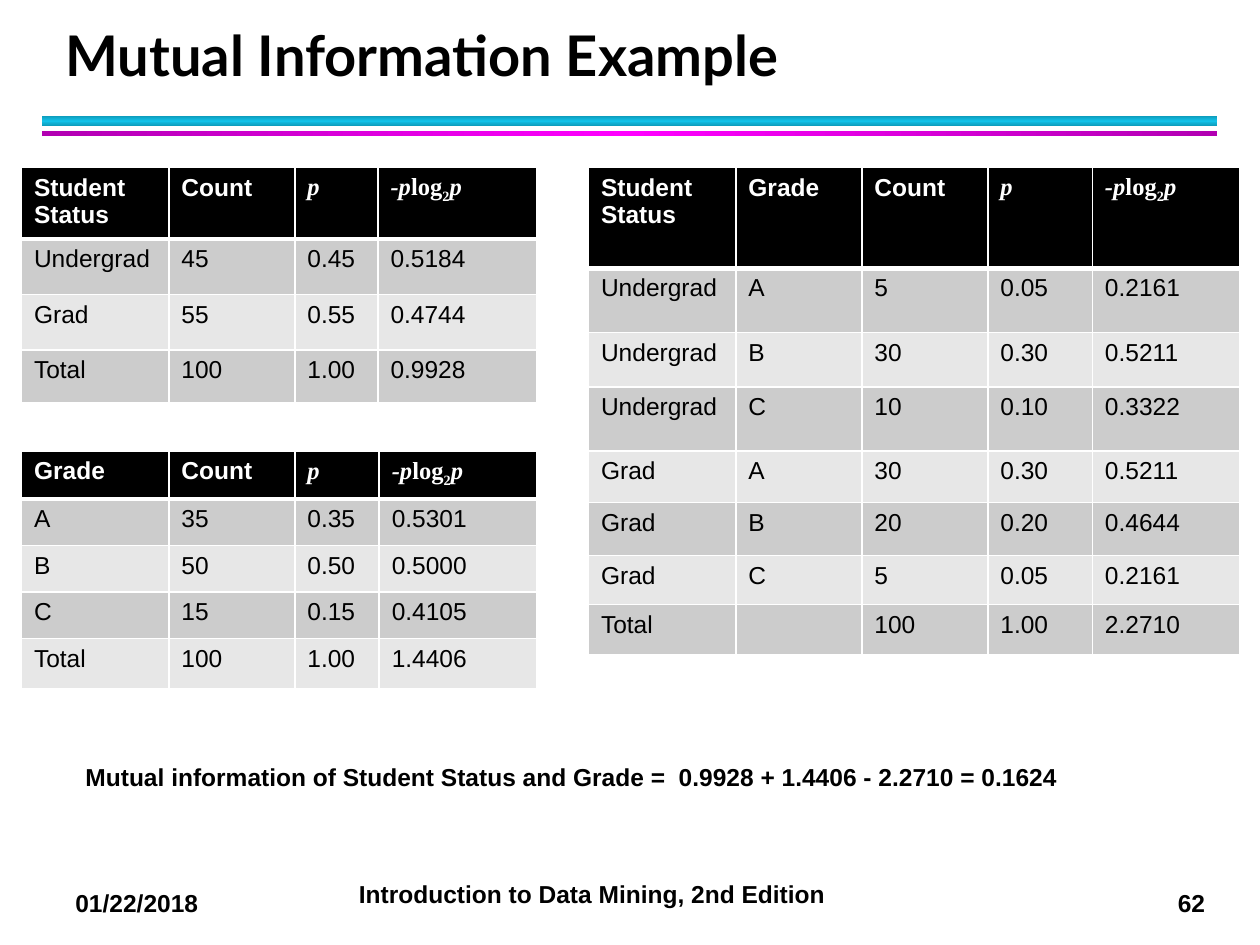
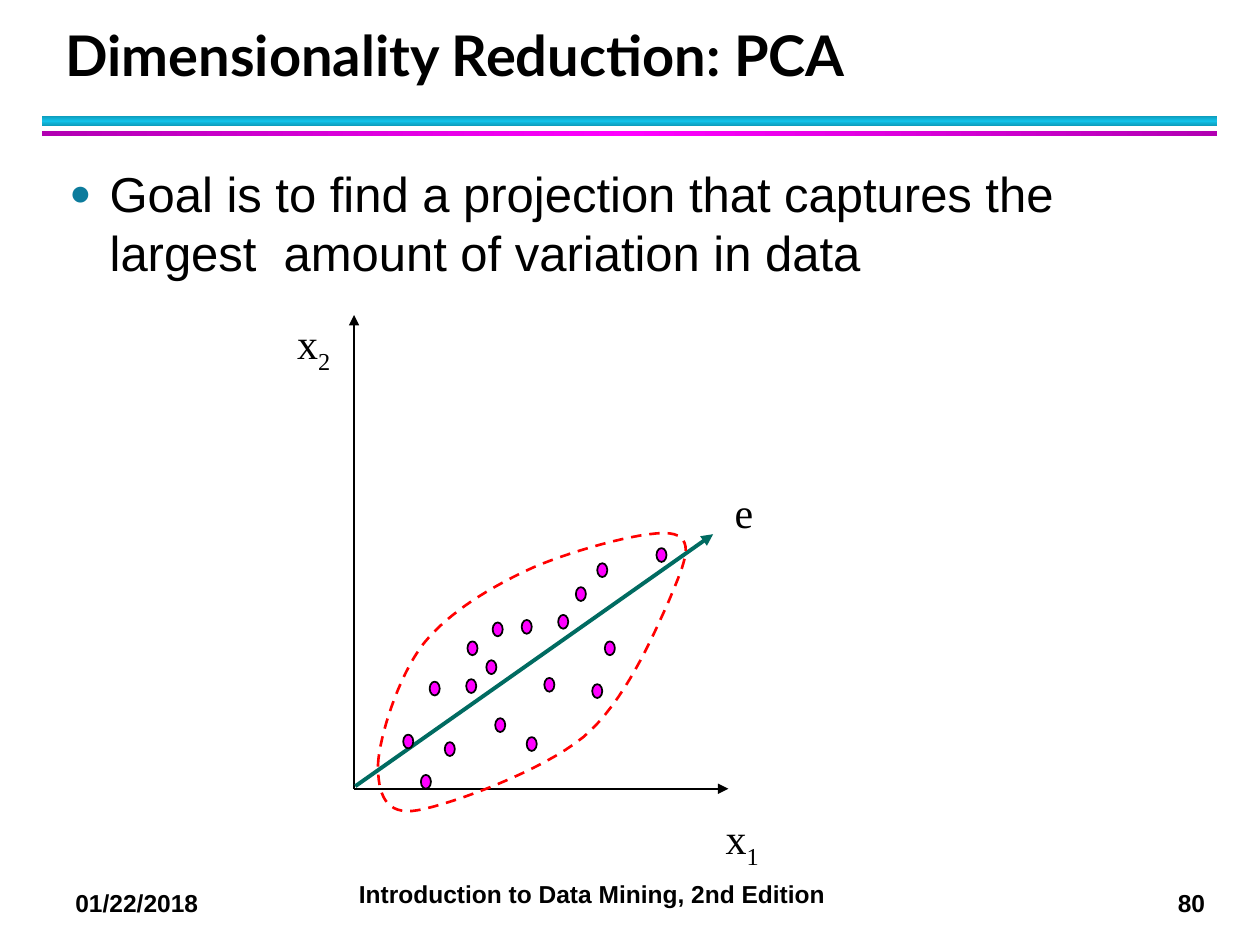
"""Build two data mining slides: a mutual information example and a PCA sketch."""
from pptx import Presentation
from pptx.dml.color import RGBColor
from pptx.enum.dml import MSO_LINE
from pptx.enum.shapes import MSO_CONNECTOR, MSO_SHAPE
from pptx.enum.text import MSO_ANCHOR, MSO_AUTO_SIZE, PP_ALIGN
from pptx.oxml import parse_xml
from pptx.oxml.ns import nsdecls
from pptx.util import Inches, Pt

RECT, OVAL = MSO_SHAPE.RECTANGLE, MSO_SHAPE.OVAL
LINE, DASH = MSO_CONNECTOR.STRAIGHT, MSO_LINE.DASH
LEFT, CENTER = PP_ALIGN.LEFT, PP_ALIGN.CENTER
TOP, MIDDLE, BOTTOM = MSO_ANCHOR.TOP, MSO_ANCHOR.MIDDLE, MSO_ANCHOR.BOTTOM
FIXED = MSO_AUTO_SIZE.NONE

COLORS = {
    "black": "000000", "white": "FFFFFF", "odd": "CCCCCC", "even": "E7E7E7",
    "cyan": "12C2E9", "teal": "0E9BBA", "pink": "FF00FF", "plum": "B200B2",
    "bullet": "0C7B9C", "vector": "006B61", "red": "FF0000",
}
SANS, SERIF, HEAD = "Arial", "Times New Roman", "Lato"

BANDS = [((0.33, 0.92, 9.33, 0.08), "teal", "cyan", 90),
         ((0.33, 1.04, 9.33, 0.04), "plum", "pink", 0)]
DATE, BOOK = "01/22/2018", "Introduction to Data Mining, 2nd Edition"

PROB = [("p", "i")]
TERM = [("-p", "i"), ("log", ""), ("2", "sub"), ("p", "i")]
TABLES = [
    {"at": (0.17, 1.33), "cols": [1.17, 1, 0.66, 1.26],
     "rows": [0.44, 0.44, 0.44, 0.42],
     "cells": [["Student Status", "Count", PROB, TERM],
               ["Undergrad", "45", "0.45", "0.5184"],
               ["Grad", "55", "0.55", "0.4744"],
               ["Total", "100", "1.00", "0.9928"]]},
    {"at": (0.17, 3.58), "cols": [1.17, 1, 0.67, 1.25],
     "rows": [0.38, 0.37, 0.37, 0.37, 0.4],
     "cells": [["Grade", "Count", PROB, TERM],
               ["A", "35", "0.35", "0.5301"],
               ["B", "50", "0.50", "0.5000"],
               ["C", "15", "0.15", "0.4105"],
               ["Total", "100", "1.00", "1.4406"]]},
    {"at": (4.67, 1.33), "cols": [1.17, 1, 1, 0.83, 1.17],
     "rows": [0.8, 0.51, 0.43, 0.51, 0.41, 0.42, 0.39, 0.39],
     "cells": [["Student Status", "Grade", "Count", PROB, TERM],
               ["Undergrad", "A", "5", "0.05", "0.2161"],
               ["Undergrad", "B", "30", "0.30", "0.5211"],
               ["Undergrad", "C", "10", "0.10", "0.3322"],
               ["Grad", "A", "30", "0.30", "0.5211"],
               ["Grad", "B", "20", "0.20", "0.4644"],
               ["Grad", "C", "5", "0.05", "0.2161"],
               ["Total", "", "100", "1.00", "2.2710"]]},
]
RESULT = ("Mutual information of Student Status and Grade =  "
          "0.9928 + 1.4406 - 2.2710 = 0.1624")

GOAL = ("Goal is to find a projection that captures the largest  "
        "amount of variation in data")
ARROWS = [((2.81, 6.26), (2.81, 2.5), "black", 1),
          ((2.81, 6.26), (5.78, 6.26), "black", 1),
          ((2.82, 6.24), (5.66, 4.24), "vector", 2.25)]
DOTS = [(3.41, 5.41), (3.71, 5.09), (3.2, 5.83), (3.86, 5.24), (3.7, 5.39),
        (4.32, 5.38), (4.18, 5.85), (3.93, 5.7), (4.14, 4.92), (4.8, 5.09),
        (5.21, 4.35), (3.53, 5.89), (4.43, 4.88), (4.74, 4.47), (3.91, 4.94),
        (4.57, 4.66), (4.7, 5.43), (3.34, 6.15)]
START = (3, 6.07)
CURVES = [((3.01, 5.85), (3.16, 5.37), (3.36, 5.11)),
          ((3.57, 4.85), (3.91, 4.65), (4.24, 4.5)),
          ((4.57, 4.36), (5.18, 4.19), (5.35, 4.24)),
          ((5.53, 4.29), (5.41, 4.52), (5.3, 4.79)),
          ((5.18, 5.05), (4.96, 5.57), (4.63, 5.85)),
          ((4.3, 6.12), (3.59, 6.38), (3.32, 6.43)),
          ((3.05, 6.48), (3, 6.29), (3, 6.07))]
LABELS = [((2.25, 2.5, 0.48, 0.5), [("x", ""), ("2", "sub")]),
          ((5.65, 6.43, 0.48, 0.5), [("x", ""), ("1", "sub")]),
          ((5.73, 3.81, 0.35, 0.5), [("e", "")])]


def rgb(name):
    return RGBColor.from_string(COLORS[name])


def xml(tag, attrs="", inner=""):
    return parse_xml(f"<a:{tag} {nsdecls('a')} {attrs}>{inner}</a:{tag}>")


def tint(name):
    return f'<a:srgbClr val="{COLORS[name]}"/>'


def style(font, size, color="black", face=SANS, bold=False):
    font.size, font.name, font.bold = Pt(size), face, bold
    font.color.rgb = rgb(color)


def write(par, text, size, color="black", face=SANS, bold=False):
    if isinstance(text, str):
        par.text = text
        for run in par.runs:
            style(run.font, size, color, face, bold)
        return
    for part, mark in text:
        run = par.add_run()
        run.text = part
        style(run.font, size, color, SERIF, bold)
        run.font.italic = mark == "i"
        if mark == "sub":
            run.font._element.set("baseline", "-25000")


def label(slide, box, text, size=14, bold=True, wrap=True):
    frame = slide.shapes.add_textbox(*map(Inches, box)).text_frame
    frame.word_wrap = wrap
    write(frame.paragraphs[0], text, size, bold=bold)
    return frame


def place(shape, box, anchor):
    shape.left, shape.top, shape.width, shape.height = map(Inches, box)
    frame = shape.text_frame
    frame.auto_size, frame.vertical_anchor = FIXED, anchor
    frame.word_wrap = True
    return frame.paragraphs[0]


def band(slide, box, edge, mid, angle):
    shape = slide.shapes.add_shape(RECT, *map(Inches, box))
    shape.shadow.inherit = False
    stops = "".join(f'<a:gs pos="{pos}">{tint(name)}</a:gs>'
                    for pos, name in ((0, edge), (50000, mid), (100000, edge)))
    fill = xml("gradFill", "", f'<a:gsLst>{stops}</a:gsLst>'
               f'<a:lin ang="{angle * 60000}" scaled="0"/>')
    shape._element.spPr.insert(2, fill)
    shape.line.fill.background()


def page(deck, layout, title, number):
    slide = deck.slides.add_slide(deck.slide_layouts[layout])
    for args in BANDS:
        band(slide, *args)
    label(slide, (0.5, 7, 1.33, 0.34), DATE)
    label(slide, (9.25, 7, 0.44, 0.34), number, wrap=False)
    label(slide, (2.75, 6.93, 4.08, 0.34), BOOK)
    par = place(slide.shapes.title, (0.42, 0.17, 9.06, 0.58), BOTTOM)
    write(par, title, 32, face=HEAD, bold=True)
    par.alignment, par.line_spacing = LEFT, Pt(36)
    return slide


def edge(cell, row):
    widths = {"L": 1, "R": 1, "T": 3 if row == 1 else 1, "B": 1 if row else 3}
    props = cell._tc.get_or_add_tcPr()
    for side, width in widths.items():
        props.append(xml(f"ln{side}", f'w="{Pt(width)}"',
                         f"<a:solidFill>{tint('white')}</a:solidFill>"))


def grid(slide, at, cols, rows, cells):
    box = (*at, sum(cols), sum(rows))
    table = slide.shapes.add_table(len(rows), len(cols),
                                   *map(Inches, box)).table
    for col, width in zip(table.columns, cols):
        col.width = Inches(width)
    for r, (row, height) in enumerate(zip(table.rows, rows)):
        row.height = Inches(height)
        back = ("even" if r % 2 == 0 else "odd") if r else "black"
        for cell, text in zip(row.cells, cells[r]):
            edge(cell, r)
            cell.fill.solid()
            cell.fill.fore_color.rgb = rgb(back)
            write(cell.text_frame.paragraphs[0], text, 14,
                  "black" if r else "white", bold=not r)


def arrow(slide, start, end, color, width):
    line = slide.shapes.add_connector(LINE, *map(Inches, start + end))
    line.line.color.rgb, line.line.width = rgb(color), Pt(width)
    line.line._get_or_add_ln().append(xml("tailEnd", 'type="triangle"'))
    line._element.spPr.append(xml("effectLst"))


def dot(slide, x, y):
    shape = slide.shapes.add_shape(OVAL, *map(Inches, (x, y, 0.08, 0.11)))
    shape.shadow.inherit = False
    shape.fill.solid()
    shape.fill.fore_color.rgb = rgb("pink")
    shape.line.color.rgb, shape.line.width = rgb("black"), Pt(1)


def trace(start, curves, steps=16):
    points = []
    for one, two, end in curves:
        for i in range(1, steps + 1):
            t = i / steps
            u = 1 - t
            points.append(tuple(
                Inches(u**3 * a + 3 * u * u * t * b + 3 * u * t * t * c + t**3 * d)
                for a, b, c, d in zip(start, one, two, end)))
        start = end
    return points


def cloud(slide):
    pen = slide.shapes.build_freeform(*map(Inches, START))
    pen.add_line_segments(trace(START, CURVES), close=True)
    shape = pen.convert_to_shape()
    shape.shadow.inherit = False
    shape.fill.background()
    shape.line.color.rgb, shape.line.width = rgb("red"), Pt(1.5)
    shape.line.dash_style = DASH


def goal(slide):
    par = place(slide.placeholders[1], (0.45, 1.25, 9.1, 5.67), TOP)
    par.text = GOAL
    props = par._p.get_or_add_pPr()
    props.set("marL", str(Inches(0.32)))
    props.set("indent", str(Inches(-0.32)))
    props.append(xml("buClr", "", tint("bullet")))
    props.append(xml("buSzPct", 'val="75000"'))
    props.append(xml("buChar", 'char="●"'))
    par.space_before, par.space_after = Pt(0), Pt(4)
    style(par.runs[0].font, 28)


def main():
    deck = Presentation()
    deck.slide_width, deck.slide_height = Inches(10), Inches(7.5)

    slide = page(deck, 5, "Mutual Information Example", "62")
    for table in TABLES:
        grid(slide, **table)
    label(slide, (0.58, 6, 8.75, 0.34), RESULT)

    slide = page(deck, 1, "Dimensionality Reduction: PCA", "80")
    goal(slide)
    for args in ARROWS:
        arrow(slide, *args)
    for x, y in DOTS:
        dot(slide, x, y)
    cloud(slide)
    for box, text in LABELS:
        frame = label(slide, box, text, 24, False, False)
        frame.vertical_anchor = MIDDLE
        frame.paragraphs[0].alignment = CENTER

    deck.save("out.pptx")


if __name__ == "__main__":
    main()
